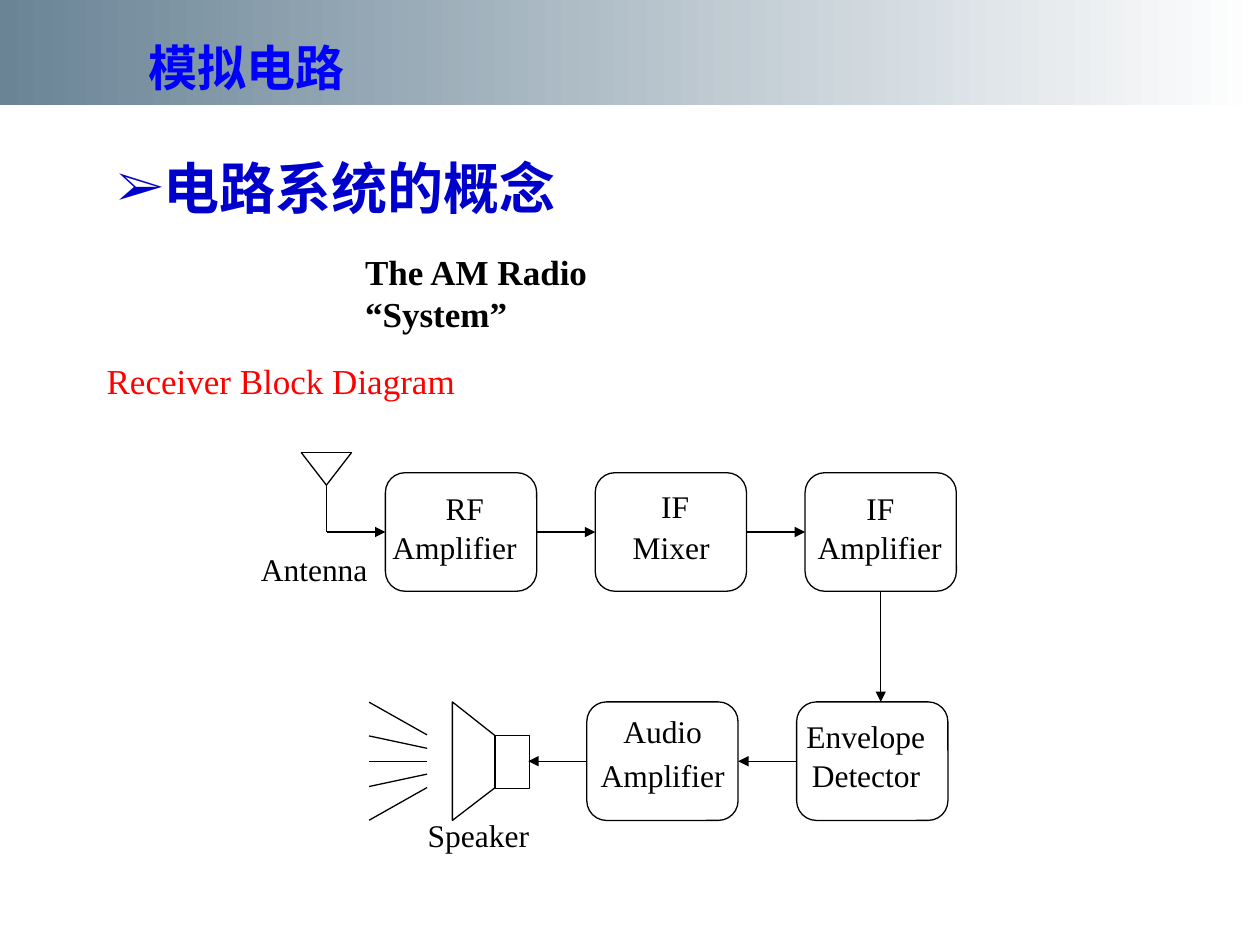
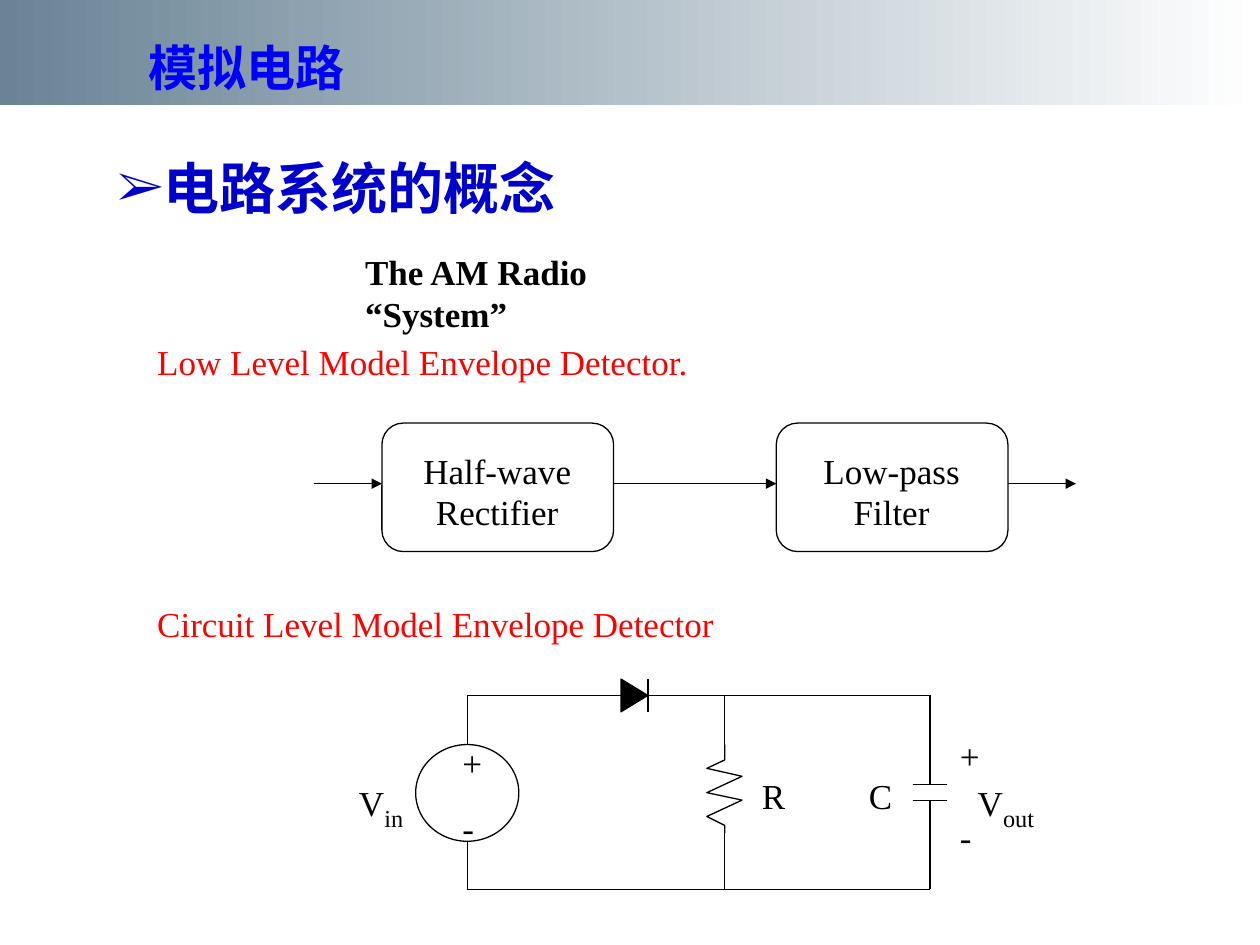
"""Build two slides on the AM radio receiver and its envelope detector."""
from lxml.etree import SubElement
from pptx import Presentation
from pptx.dml.color import RGBColor
from pptx.enum.shapes import MSO_CONNECTOR, MSO_SHAPE
from pptx.enum.text import MSO_ANCHOR, MSO_AUTO_SIZE, PP_ALIGN
from pptx.oxml.ns import qn
from pptx.util import Cm, Pt

BLACK = RGBColor(0x00, 0x00, 0x00)
RED = RGBColor(0xFF, 0x00, 0x00)
TITLE_BLUE = RGBColor(0x00, 0x00, 0xFF)
TOPIC_BLUE = RGBColor(0x00, 0x00, 0xCC)
BAND_START = RGBColor(0x6A, 0x84, 0x96)
BAND_END = RGBColor(0xFF, 0xFF, 0xFF)
FONT = "Times New Roman"
LEFT, CENTER, RIGHT = PP_ALIGN.LEFT, PP_ALIGN.CENTER, PP_ALIGN.RIGHT

TITLE = "模拟电路"
TOPIC = "电路系统的概念"
SUBJECT = "The AM Radio “System”"

STAGE_WIDTH, STAGE_HEIGHT, STAGE_STEP = 3.05, 2.39, 4.23
UPPER_LEFT, UPPER_TOP = 7.77, 9.53
LOWER_LEFT, LOWER_TOP = 11.83, 14.15
RECEIVER_LABELS = [
    ("RF", 8.1, 9.73, 2.54),
    ("Amplifier", 7.49, 10.52, 3.35),
    ("IF", 12.34, 9.7, 2.54),
    ("Mixer", 12.17, 10.52, 2.72),
    ("IF", 16.48, 9.73, 2.54),
    ("Amplifier", 15.98, 10.52, 3.51),
    ("Envelope", 15.7, 14.33, 3.51),
    ("Detector", 16.1, 15.11, 2.72),
    ("Audio", 12.09, 14.22, 2.54),
    ("Amplifier", 11.71, 15.11, 3.3),
    ("Antenna", 4.9, 10.97, 2.87),
    ("Speaker", 7.7, 16.33, 3.89),
]
ANTENNA = [
    (6.07, 9.12, 6.58, 9.78),
    (6.58, 9.78, 7.09, 9.12),
    (6.07, 9.12, 7.09, 9.12),
    (6.58, 9.78, 6.58, 10.72),
]
SPEAKER_CONE = [(9.98, 14.83), (9.12, 14.15), (9.12, 16.54), (9.98, 15.88)]
SOUND_SPREAD = [(-0.53, -1.19), (-0.26, -0.51), (0, 0), (0.26, 0.51), (0.53, 1.19)]

MODEL_BLOCKS = [(7.7, ("Half-wave", "Rectifier")), (15.65, ("Low-pass", "Filter"))]
MODEL_TOP, MODEL_WIDTH, MODEL_HEIGHT, MODEL_AXIS = 8.53, 4.67, 2.59, 9.75
MODEL_ARROWS = [(6.32, 7.7), (12.37, 15.65), (20.32, 21.69)]

SOURCE_X, RESISTOR_X, CAPACITOR_X, DIODE_X = 9.42, 14.61, 18.75, 13.06
RAIL_TOP, RAIL_BOTTOM = 14.02, 17.93
PLATES = (15.82, 16.13)
WIRES = [
    (SOURCE_X, 15.01, SOURCE_X, RAIL_TOP),
    (SOURCE_X, RAIL_TOP, CAPACITOR_X, RAIL_TOP),
    (SOURCE_X, 16.95, SOURCE_X, RAIL_BOTTOM),
    (SOURCE_X, RAIL_BOTTOM, CAPACITOR_X, RAIL_BOTTOM),
    (RESISTOR_X, RAIL_TOP, RESISTOR_X, 15.01),
    (RESISTOR_X, 16.79, RESISTOR_X, RAIL_BOTTOM),
    (CAPACITOR_X, RAIL_TOP, CAPACITOR_X, PLATES[0]),
    (CAPACITOR_X, PLATES[1], CAPACITOR_X, RAIL_BOTTOM),
    (DIODE_X, 13.69, DIODE_X, 14.35),
]
DIODE = [(12.52, 13.69), (DIODE_X, RAIL_TOP), (12.52, 14.35)]
RESISTOR = [
    (RESISTOR_X, 15.01), (RESISTOR_X, 15.32), (14.25, 15.49),
    (14.96, 15.65), (14.25, 15.98), (14.96, 16.13),
    (14.25, 16.46), (RESISTOR_X, 16.64), (RESISTOR_X, 16.79),
]
CIRCUIT_LABELS = [
    ("+", "", 9.07, 14.83, 0.69, CENTER),
    ("-", "", 9.07, 16.13, 0.69, CENTER),
    ("R", "", 15.11, 15.49, 1.37, LEFT),
    ("C", "", 16.87, 15.49, 1.37, RIGHT),
    ("+", "", 19.1, 14.68, 0.69, CENTER),
    ("-", "", 19.1, 16.31, 0.69, CENTER),
    ("V", "out", 19.46, 15.49, 2.26, LEFT),
    ("V", "in", 6.12, 15.49, 2.26, RIGHT),
]


def write(box, text, size, color, align=LEFT, bold=False):
    frame = box.text_frame
    frame.word_wrap = True
    frame.auto_size = MSO_AUTO_SIZE.NONE
    frame.vertical_anchor = MSO_ANCHOR.TOP
    para = frame.paragraphs[0]
    para.add_run().text = text
    para.alignment = align
    para.space_before = Pt(0)
    para.font.name = FONT
    para.font.size = Pt(size)
    para.font.bold = bold
    para.font.color.rgb = color
    return para


def add_text(page, text, left, top, width, size=20, color=BLACK,
             align=LEFT, bold=False, height=1.12):
    box = page.shapes.add_textbox(Cm(left), Cm(top), Cm(width), Cm(height))
    return write(box, text, size, color, align, bold)


def fill_placeholder(holder, text, left, top, width, height, size, color):
    holder.left, holder.top = Cm(left), Cm(top)
    holder.width, holder.height = Cm(width), Cm(height)
    return write(holder, text, size, color, bold=True)


def outline(shape, filled=False):
    shape.shadow.inherit = False
    if filled:
        shape.fill.solid()
        shape.fill.fore_color.rgb = BLACK
    else:
        shape.fill.background()
    shape.line.color.rgb = BLACK
    shape.line.width = Pt(0.75)


def add_outline(page, kind, left, top, width, height):
    outline(page.shapes.add_shape(kind, Cm(left), Cm(top), Cm(width), Cm(height)))


def add_path(page, points, close=False):
    start, *others = [(Cm(x), Cm(y)) for x, y in points]
    builder = page.shapes.build_freeform(*start)
    builder.add_line_segments(others, close=close)
    outline(builder.convert_to_shape(), filled=close)


def add_line(page, x1, y1, x2, y2, arrow=False):
    wire = page.shapes.add_connector(
        MSO_CONNECTOR.STRAIGHT, Cm(x1), Cm(y1), Cm(x2), Cm(y2))
    wire.line.color.rgb = BLACK
    wire.line.width = Pt(0.75)
    properties = wire._element.spPr
    if arrow:
        SubElement(properties.find(qn("a:ln")), qn("a:tailEnd"), type="triangle")
    SubElement(properties, qn("a:effectLst"))


def add_page(deck):
    page = deck.slides.add_slide(deck.slide_layouts[1])
    band = page.shapes.add_shape(MSO_SHAPE.RECTANGLE, 0, 0, deck.slide_width, Cm(2.12))
    band.shadow.inherit = False
    band.line.fill.background()
    band.fill.gradient()
    band.fill.gradient_angle = 0
    for stop, color, position in zip(
            band.fill.gradient_stops, (BAND_START, BAND_END), (0, 1)):
        stop.color.rgb = color
        stop.position = position
    page.shapes._spTree.insert(2, band._element)

    title, body = page.placeholders
    fill_placeholder(title, TITLE, 2.74, 0.62, 19.48, 1.45, 28, TITLE_BLUE)
    topic = fill_placeholder(body, TOPIC, 2.11, 2.97, 18.85, 1.63, 32, TOPIC_BLUE)
    properties = topic._p.get_or_add_pPr()
    properties.set("marL", "0")
    properties.set("indent", "0")
    bullet_color = SubElement(properties, qn("a:buClr"))
    SubElement(bullet_color, qn("a:srgbClr"), val=str(TOPIC_BLUE))
    SubElement(properties, qn("a:buSzPct"), val="90000")
    SubElement(properties, qn("a:buFont"), typeface=FONT)
    SubElement(properties, qn("a:buChar"), char="➢")
    add_text(page, SUBJECT, 7.11, 4.93, 7.9, bold=True, height=1.96)
    return page


def draw_receiver(page):
    add_text(page, "Receiver Block Diagram", 1.9, 7.13, 11.4, color=RED)
    upper = [UPPER_LEFT + STAGE_STEP * column for column in range(3)]
    lower = [LOWER_LEFT + STAGE_STEP * column for column in range(2)]
    for lefts, top in ((upper, UPPER_TOP), (lower, LOWER_TOP)):
        for left in lefts:
            add_outline(page, MSO_SHAPE.ROUNDED_RECTANGLE,
                        left, top, STAGE_WIDTH, STAGE_HEIGHT)

    gap = STAGE_STEP - STAGE_WIDTH
    upper_axis = UPPER_TOP + STAGE_HEIGHT / 2
    lower_axis = LOWER_TOP + STAGE_HEIGHT / 2
    for left in upper:
        add_line(page, left - gap, upper_axis, left, upper_axis, arrow=True)
    for left in lower:
        add_line(page, left, lower_axis, left - gap, lower_axis, arrow=True)
    turn = upper[-1] + STAGE_WIDTH / 2
    add_line(page, turn, UPPER_TOP + STAGE_HEIGHT, turn, LOWER_TOP, arrow=True)

    for line in ANTENNA:
        add_line(page, *line)
    add_outline(page, MSO_SHAPE.RECTANGLE, 9.98, 14.83, 0.69, 1.07)
    add_path(page, SPEAKER_CONE)
    for near, far in SOUND_SPREAD:
        add_line(page, 8.61, lower_axis + near, 7.44, lower_axis + far)
    for text, left, top, width in RECEIVER_LABELS:
        add_text(page, text, left, top, width, size=18, align=CENTER, height=1.02)


def draw_detector_model(page):
    add_text(page, "Low Level Model Envelope Detector.", 2.92, 6.73, 14.81, color=RED)
    for start, end in MODEL_ARROWS:
        add_line(page, start, MODEL_AXIS, end, MODEL_AXIS, arrow=True)
    for left, lines in MODEL_BLOCKS:
        add_outline(page, MSO_SHAPE.ROUNDED_RECTANGLE,
                    left, MODEL_TOP, MODEL_WIDTH, MODEL_HEIGHT)
        for row, text in enumerate(lines):
            add_text(page, text, left + 0.19, 8.94 + 0.82 * row, 4.27, align=CENTER)


def draw_detector_circuit(page):
    add_text(page, "Circuit Level Model Envelope Detector", 2.92, 12.02, 16.41, color=RED)
    add_outline(page, MSO_SHAPE.OVAL, 8.38, 15.01, 2.08, 1.95)
    for wire in WIRES:
        add_line(page, *wire)
    for plate in PLATES:
        add_line(page, CAPACITOR_X - 0.34, plate, CAPACITOR_X + 0.34, plate)
    add_path(page, DIODE, close=True)
    add_path(page, RESISTOR)
    for text, subscript, left, top, width, align in CIRCUIT_LABELS:
        para = add_text(page, text, left, top, width, align=align)
        if subscript:
            span = para.add_run()
            span.text = subscript
            span.font.size = Pt(24)
            span._r.get_or_add_rPr().set("baseline", "-25000")


def main():
    deck = Presentation()
    deck.slide_width, deck.slide_height = Cm(25.4), Cm(19.05)
    draw_receiver(add_page(deck))
    detector = add_page(deck)
    draw_detector_model(detector)
    draw_detector_circuit(detector)
    deck.save("out.pptx")


if __name__ == "__main__":
    main()
